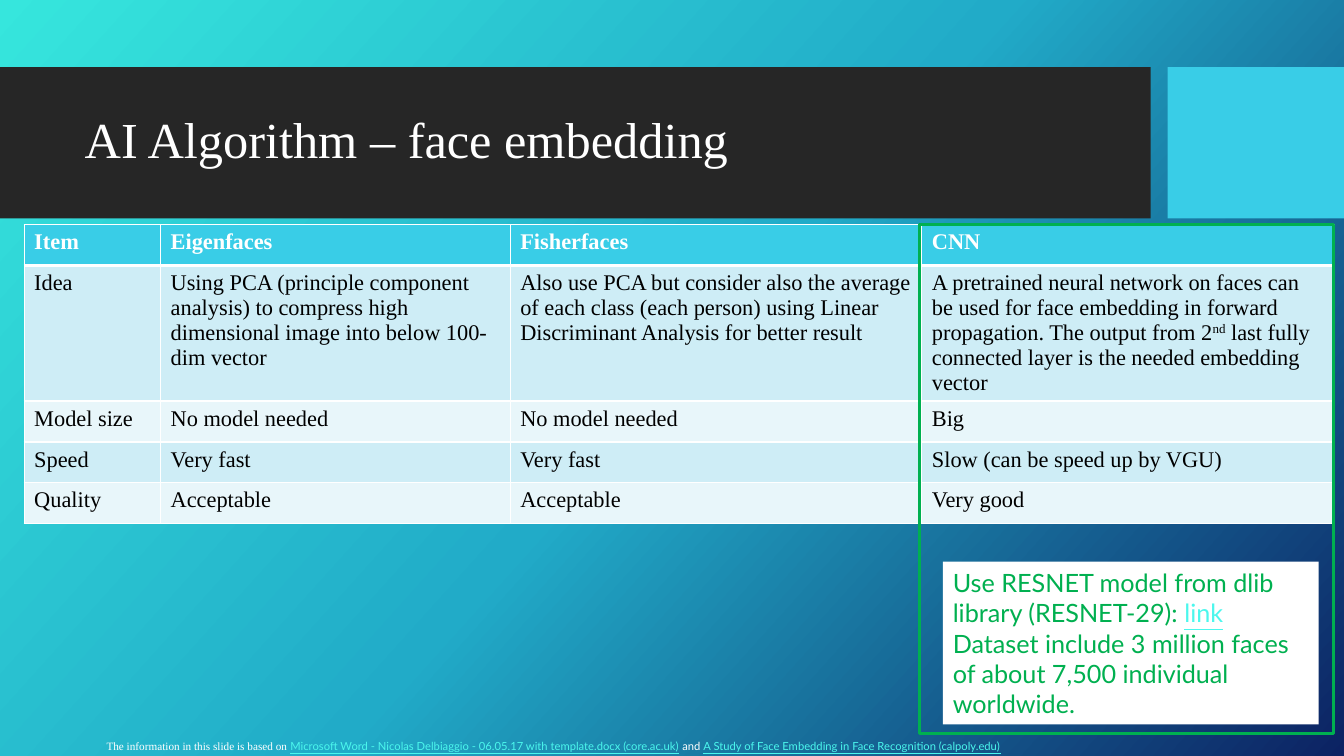
import copy
from dataclasses import dataclass

import lxml.etree
import pptx
import pptx.dml.color
import pptx.enum.shapes
import pptx.enum.text
import pptx.oxml.ns
import pptx.util

EMU_PER_PX = 9525


@dataclass(frozen=True)
class Theme:
    serif: str = "Times New Roman"
    sans: str = "Lato"
    white: str = "FFFFFF"
    black: str = "000000"
    charcoal: str = "262626"
    cyan: str = "39CDE7"
    link: str = "4BF7ED"
    green: str = "00B050"
    bands: tuple = ("CEEDF6", "E8F6FA")
    backdrop: tuple = ((0, "36E6DD"), (0.5, "21ABC8"), (1, "0C2263"))
    backdrop_angle: int = 318
    title_size: int = 36
    note_size: int = 18
    table_size: int = 16
    source_size: int = 8


THEME = Theme()

COLUMN_WIDTHS = (130, 333, 392, 393)
ROW_HEIGHTS = (39, 129, 39, 39, 39)
COMPARISON = (
    ("Item", "Eigenfaces", "Fisherfaces", "CNN"),
    (
        "Idea",
        "Using PCA (principle component analysis) to compress high dimensional "
        "image into below 100-dim vector",
        "Also use PCA but consider also the average of each class (each person) "
        "using Linear Discriminant Analysis for better result",
        (
            "A pretrained neural network on faces can be used for face embedding "
            "in forward propagation. The output from 2",
            "nd",
            " last fully connected layer is the needed embedding vector",
        ),
    ),
    ("Model size", "No model needed", "No model needed", "Big"),
    ("Speed", "Very fast", "Very fast", "Slow (can be speed up by VGU)"),
    ("Quality", "Acceptable", "Acceptable", "Very good"),
)


def px(length):
    return pptx.util.Emu(length * EMU_PER_PX)


def rgb(color):
    return pptx.dml.color.RGBColor.from_string(color)


def style_font(font, name=None, size=None, color=None, bold=None):
    if name:
        font.name = name
    if size:
        font.size = pptx.util.Pt(size)
    if color:
        font.color.rgb = rgb(color)
    if bold is not None:
        font.bold = bold


def add_span(para, text, name=None, color=None, underline=None):
    span = para.add_run()
    span.text = text
    style_font(span.font, name, color=color)
    if underline:
        span.font.underline = True
    return span


def paint_backdrop(page):
    fill = page.background.fill
    fill.gradient()
    fill.gradient_angle = THEME.backdrop_angle
    stop_list = next(page.element.iter(pptx.oxml.ns.qn("a:gsLst")))
    stop_list.append(copy.deepcopy(stop_list[-1]))
    for stop, (position, color) in zip(fill.gradient_stops, THEME.backdrop):
        stop.position = position
        stop.color.rgb = rgb(color)


def add_box(page, left, top, width, height, fill=None, line=None):
    box = page.shapes.add_shape(
        pptx.enum.shapes.MSO_SHAPE.RECTANGLE,
        px(left), px(top), px(width), px(height),
    )
    box.shadow.inherit = False
    if fill:
        box.fill.solid()
        box.fill.fore_color.rgb = rgb(fill)
    else:
        box.fill.background()
    if line:
        box.line.color.rgb = rgb(line)
        box.line.width = pptx.util.Pt(2.25)
    else:
        box.line.fill.background()
    return box


def place_title(page, text):
    title = page.shapes.title
    page.shapes.element.append(title.element)
    title.left, title.top, title.width, title.height = map(px, (71, 79, 1009, 113))
    frame = title.text_frame
    frame.text = text
    frame.auto_size = pptx.enum.text.MSO_AUTO_SIZE.NONE
    frame.vertical_anchor = pptx.enum.text.MSO_ANCHOR.MIDDLE
    para = frame.paragraphs[0]
    para.alignment = pptx.enum.text.PP_ALIGN.LEFT
    para.line_spacing = 0.9
    style_font(para.font, THEME.serif, THEME.title_size, THEME.white)


def border_cell(cell, bottom_width):
    properties = cell._tc.get_or_add_tcPr()
    for side, width in (("L", 1), ("R", 1), ("T", 1), ("B", bottom_width)):
        line = lxml.etree.SubElement(
            properties, pptx.oxml.ns.qn(f"a:ln{side}"), w=str(pptx.util.Pt(width))
        )
        fill = lxml.etree.SubElement(line, pptx.oxml.ns.qn("a:solidFill"))
        lxml.etree.SubElement(fill, pptx.oxml.ns.qn("a:srgbClr"), val=THEME.white)


def fill_cell(cell, content, is_header, color):
    border_cell(cell, 3 if is_header else 1)
    cell.fill.solid()
    cell.fill.fore_color.rgb = rgb(color)
    para = cell.text_frame.paragraphs[0]
    text_color = THEME.white if is_header else THEME.black
    style_font(para.font, THEME.serif, THEME.table_size, text_color, is_header)
    pieces = (content,) if isinstance(content, str) else content
    for index, piece in enumerate(pieces):
        span = add_span(para, piece, THEME.serif, text_color)
        style_font(span.font, size=THEME.table_size, bold=is_header)
        if index == 1:
            span.font._element.set("baseline", "30000")


def add_comparison(page):
    frame = page.shapes.add_table(
        len(ROW_HEIGHTS), len(COLUMN_WIDTHS),
        px(23), px(214), px(sum(COLUMN_WIDTHS)), px(sum(ROW_HEIGHTS)),
    )
    table = frame.table
    for column, width in zip(table.columns, COLUMN_WIDTHS):
        column.width = px(width)
    for index, (row, height) in enumerate(zip(table.rows, ROW_HEIGHTS)):
        row.height = px(height)
        color = THEME.bands[(index - 1) % 2] if index else THEME.cyan
        for cell, content in zip(row.cells, COMPARISON[index]):
            fill_cell(cell, content, index == 0, color)


def add_sources(page):
    box = page.shapes.add_textbox(px(92), px(699), px(993), px(23))
    box.text_frame.word_wrap = True
    para = box.text_frame.paragraphs[0]
    style_font(para.font, size=THEME.source_size)
    for text, name, is_link in (
        ("The information in this slide is based on ", THEME.serif, False),
        ("Microsoft Word - Nicolas Delbiaggio - 06.05.17 with template.docx (core.ac.uk)",
         THEME.sans, True),
        (" and ", THEME.sans, False),
        ("A Study of Face Embedding in Face Recognition (calpoly.edu)", THEME.sans, True),
    ):
        add_span(para, text, name, THEME.link if is_link else THEME.white, is_link)


def add_model_note(page):
    frame = add_box(page, 898, 535, 358, 155, fill=THEME.white).text_frame
    frame.word_wrap = True
    frame.vertical_anchor = pptx.enum.text.MSO_ANCHOR.MIDDLE
    model, dataset = frame.paragraphs[0], frame.add_paragraph()
    for para in (model, dataset):
        para.alignment = pptx.enum.text.PP_ALIGN.LEFT
        style_font(para.font, THEME.sans, THEME.note_size)
    add_span(model, "Use RESNET model from dlib library (RESNET-29): ", color=THEME.green)
    add_span(model, "link", color=THEME.link, underline=True)
    add_span(
        dataset,
        "Dataset include 3 million faces of about 7,500 individual worldwide.",
        color=THEME.green,
    )


def main():
    deck = pptx.Presentation()
    deck.slide_width, deck.slide_height = px(1280), px(720)
    page = deck.slides.add_slide(deck.slide_layouts[5])
    paint_backdrop(page)
    add_box(page, 0, 64, 1096, 144, fill=THEME.charcoal)
    add_box(page, 1112, 64, 168, 144, fill=THEME.cyan)
    place_title(page, "AI Algorithm – face embedding")
    add_comparison(page)
    add_sources(page)
    add_box(page, 876, 214, 394, 485, line=THEME.green)
    add_model_note(page)
    deck.save("out.pptx")


if __name__ == "__main__":
    main()
